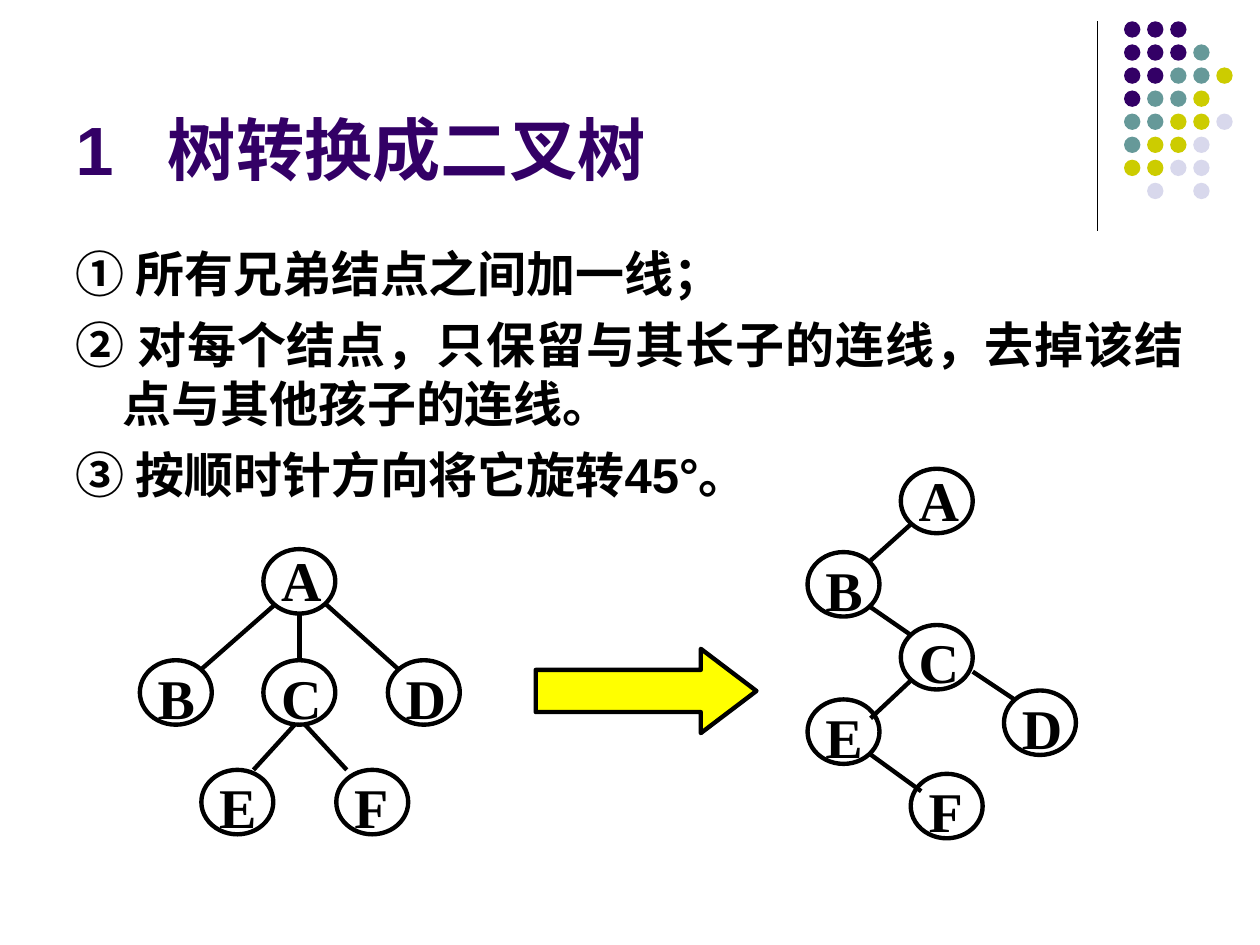
from lxml.etree import SubElement
from pptx import Presentation
from pptx.dml.color import RGBColor
from pptx.enum.shapes import MSO_CONNECTOR, MSO_SHAPE
from pptx.enum.text import MSO_ANCHOR, MSO_AUTO_SIZE, PP_ALIGN
from pptx.oxml.ns import qn
from pptx.util import Cm, Pt


def style(font, name, size, color):
    font.name = name
    font.size = Pt(size)
    font.bold = True
    font.color.rgb = RGBColor.from_string(color)


def add_line(shapes, x1, y1, x2, y2, width):
    ln = shapes.add_connector(MSO_CONNECTOR.STRAIGHT, Cm(x1), Cm(y1), Cm(x2), Cm(y2))
    ln.line.color.rgb = RGBColor.from_string("000000")
    ln.line.width = Pt(width)
    SubElement(ln._element.spPr, qn("a:effectLst"))


prs = Presentation()
prs.slide_width, prs.slide_height = Cm(25.4), Cm(19.05)
s = prs.slides.add_slide(prs.slide_layouts[5])

add_line(s.shapes, 22.12, 0.43, 22.12, 4.65, 0.75)

dot_colors = {"P": "330066", "T": "669999", "Y": "CCCC00", "L": "D8D8EC"}
dot_rows = ["PPP", "PPPT", "PPTTY", "PTTY", "TTYYL", "TYYL", "YYLL", " L L"]
dots = s.shapes.add_group_shape()
for row, keys in enumerate(dot_rows):
    for col, key in enumerate(keys):
        if key == " ":
            continue
        sp = dots.shapes.add_shape(MSO_SHAPE.OVAL, Cm(22.66 + 0.465 * col),
                                   Cm(0.43 + 0.465 * row), Cm(0.33), Cm(0.33))
        sp.shadow.inherit = False
        sp.fill.solid()
        sp.fill.fore_color.rgb = RGBColor.from_string(dot_colors[key])
        sp.line.fill.background()

title = s.shapes.title
title.left, title.top, title.width, title.height = Cm(1.27), Cm(0.33), Cm(20.96), Cm(3.61)
tf = title.text_frame
tf.auto_size = MSO_AUTO_SIZE.NONE
tf.vertical_anchor = MSO_ANCHOR.BOTTOM
p = tf.paragraphs[0]
p.text = "1\t树转换成二叉树"
p.alignment = PP_ALIGN.LEFT
tabs = SubElement(p._p.get_or_add_pPr(), qn("a:tabLst"))
SubElement(tabs, qn("a:tab"), pos=str(Cm(1.86)), algn="l")
style(p.font, "Arial", 39, "330066")

steps = [
    "① 所有兄弟结点之间加一线；",
    "② 对每个结点，只保留与其长子的连线，去掉该结点与其他孩子的连线。",
    "③ 按顺时针方向将它旋转45°。",
]
tf = s.shapes.add_textbox(Cm(1.27), Cm(4.78), Cm(22.86), Cm(12.24)).text_frame
tf.word_wrap = True
for i, step in enumerate(steps):
    p = tf.add_paragraph() if i else tf.paragraphs[0]
    p.text = step
    p.alignment = PP_ALIGN.JUSTIFY
    p.space_before = Pt(7 if i else 0)
    pPr = p._p.get_or_add_pPr()
    pPr.set("marL", str(Cm(0.95)))
    pPr.set("indent", str(Cm(-0.95)))
    style(p.font, "Arial", 28, "000000")

trees = [
    ({"A": (5.31, 11.07), "C": (5.31, 13.31), "B": (2.82, 13.31),
      "F": (6.78, 15.52), "D": (7.82, 13.31), "E": (4.06, 15.52)},
     [(6.04, 12.37, 6.04, 13.31), (5.54, 12.19, 4.06, 13.49), (6.58, 12.19, 8.03, 13.49),
      (5.94, 14.61, 5.11, 15.52), (6.15, 14.61, 6.99, 15.52)]),
    ({"A": (18.16, 9.45), "C": (18.16, 12.6), "B": (16.28, 11.13),
      "F": (18.36, 15.6), "D": (20.24, 13.92), "E": (16.28, 14.1)},
     [(18.36, 10.57, 17.55, 11.3), (17.55, 12.24, 18.36, 12.8), (18.36, 13.72, 17.55, 14.48),
      (17.55, 15.21, 18.57, 15.95), (19.61, 13.54, 20.45, 14.1)]),
]
for nodes, edges in trees:
    tree = s.shapes.add_group_shape()
    for name, (x, y) in nodes.items():
        sp = tree.shapes.add_shape(MSO_SHAPE.OVAL, Cm(x), Cm(y), Cm(1.45), Cm(1.3))
        sp.shadow.inherit = False
        sp.fill.background()
        sp.line.color.rgb = RGBColor.from_string("000000")
        sp.line.width = Pt(2.5)
        is_root = name == "A"
        tf = tree.shapes.add_textbox(Cm(x + 0.11), Cm(y - 0.2), Cm(1.45),
                                     Cm(1.63 if is_root else 1.75)).text_frame
        tf.word_wrap = True
        p = tf.paragraphs[0]
        p.text = name
        p.line_spacing = 1.0 if is_root else 1.1
        style(p.font, "Times New Roman", 32, "000000")
    for edge in edges:
        add_line(tree.shapes, *edge, 2.5)

arrow = s.shapes.add_shape(MSO_SHAPE.RIGHT_ARROW, Cm(10.8), Cm(13.08), Cm(4.45), Cm(1.7))
arrow.shadow.inherit = False
arrow.adjustments[0], arrow.adjustments[1] = 0.5, 0.66
arrow.fill.solid()
arrow.fill.fore_color.rgb = RGBColor.from_string("FFFF00")
arrow.line.color.rgb = RGBColor.from_string("000000")
arrow.line.width = Pt(2.5)

prs.save("out.pptx")
